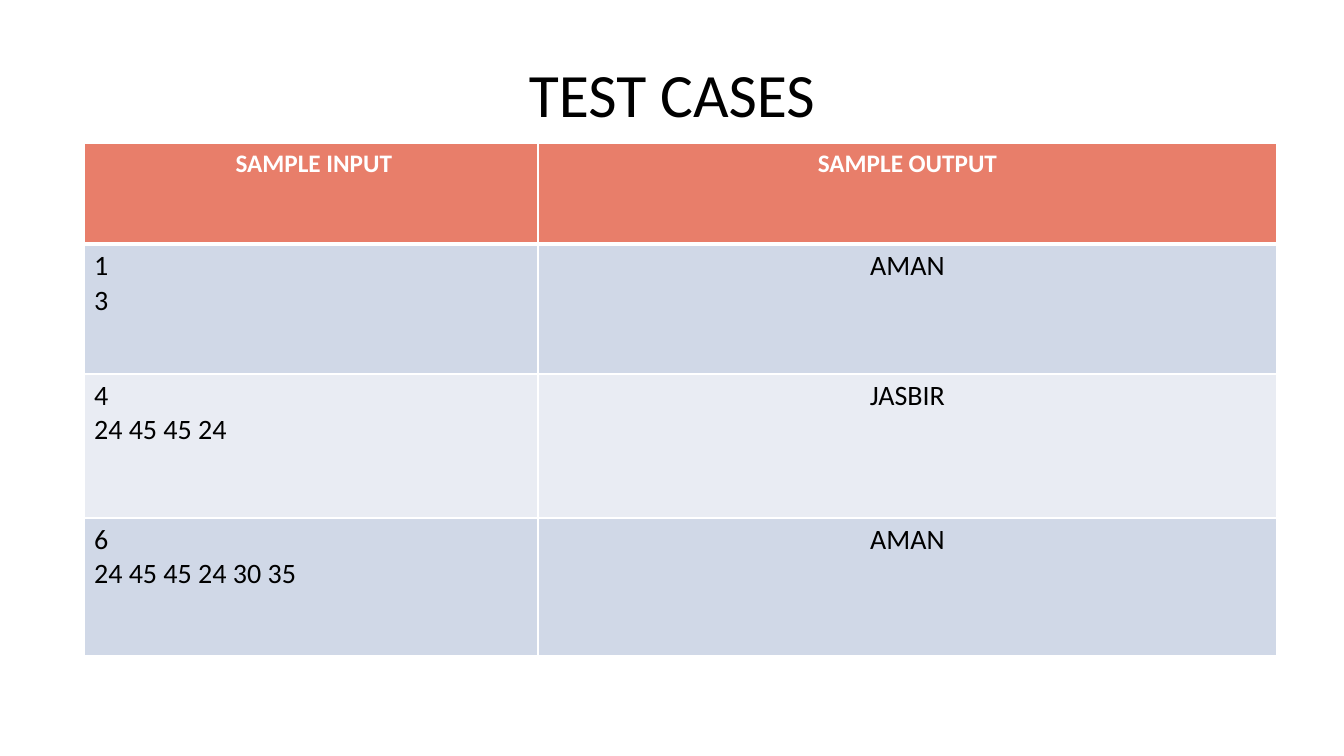
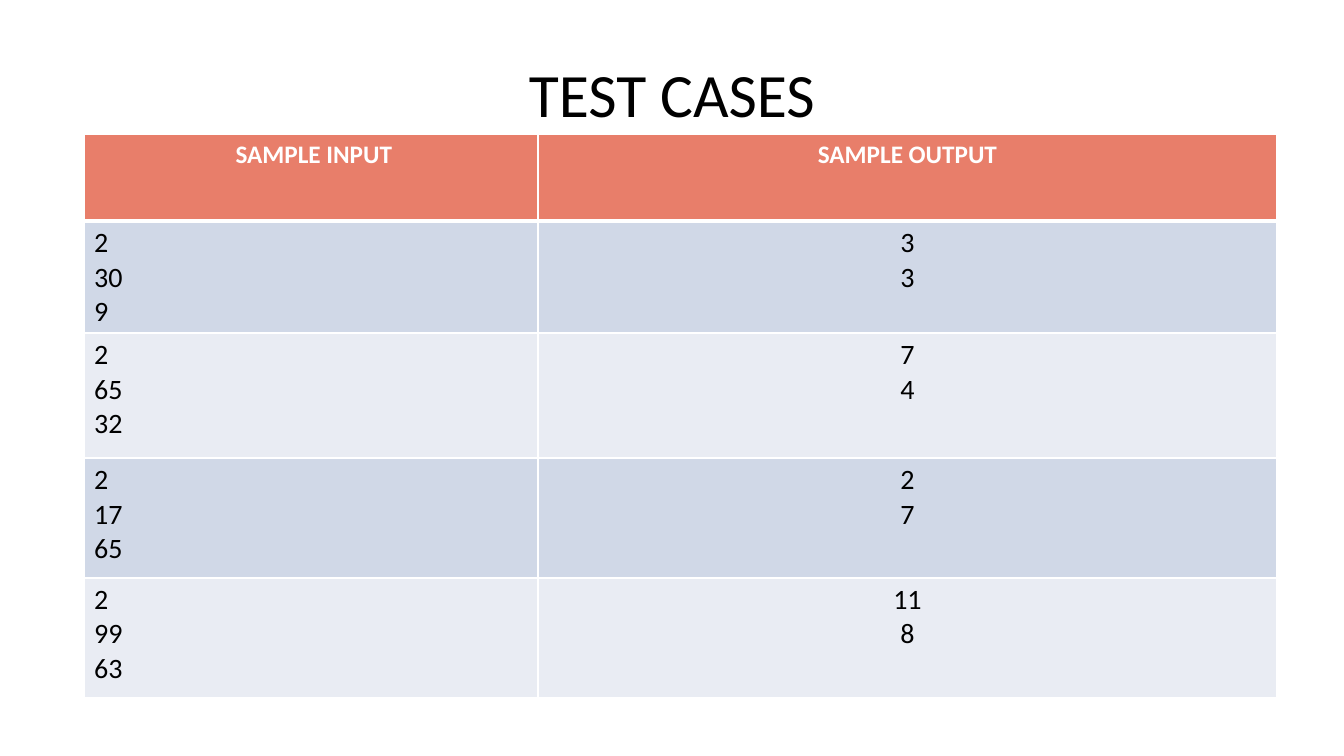
"""Build two slides of sample test cases, each a title above a table."""
from dataclasses import dataclass

from lxml.etree import SubElement
from pptx import Presentation
from pptx.dml.color import RGBColor
from pptx.enum.text import MSO_ANCHOR as Anchor, PP_ALIGN as Align
from pptx.oxml.ns import qn
from pptx.util import Pt

TITLE = "TEST CASES"
HEADER = ([" SAMPLE INPUT"], ["SAMPLE OUTPUT"])
PAGES = [
    {
        "top": 143,
        "heights": [101, 130, 144, 138],
        "cases": [
            (["1", "3"], ["AMAN"]),
            (["4", "24 45 45 24"], ["JASBIR"]),
            (["6", "24 45 45 24 30 35 "], ["AMAN"]),
        ],
    },
    {
        "top": 134,
        "heights": [87, 112, 125, 120, 120],
        "cases": [
            (["2", "30", "9"], ["3", "3"]),
            (["2", "65", "32"], ["7", "4"]),
            (["2", "17", "65"], ["2", "7"]),
            (["2", "99", "63"], ["11", "8"]),
        ],
    },
]
TITLE_BOX = (67, 30, 1210, 126)
TABLE_LEFT = 84
COLUMN_WIDTHS = (454, 739)


@dataclass(frozen=True)
class Theme:
    font: str = "Calibri"
    ink: str = "000000"
    paper: str = "FFFFFF"
    header: str = "E87E6A"
    bands: tuple = ("D0D8E7", "E9ECF3")
    title_size: int = 44
    header_size: int = 18
    body_size: int = 20
    thin: float = 0.96
    thick: float = 3


THEME = Theme()


def px(pixels):
    return round(pixels * 914400 / 100.8)


def write(frame, lines, size, color, align, bold=False):
    for index, line in enumerate(lines):
        paragraph = frame.add_paragraph() if index else frame.paragraphs[0]
        paragraph.alignment = align
        run = paragraph.add_run()
        run.text = line
        run.font.name = THEME.font
        run.font.size = Pt(size)
        run.font.bold = bold
        run.font.color.rgb = RGBColor.from_string(color)


def add_borders(cell, row):
    properties = cell._tc.get_or_add_tcPr()
    thick_side = {0: "lnB", 1: "lnT"}.get(row)
    for side in ("lnL", "lnR", "lnT", "lnB"):
        width = THEME.thick if side == thick_side else THEME.thin
        line = SubElement(properties, qn(f"a:{side}"), w=str(Pt(width)))
        fill = SubElement(line, qn("a:solidFill"))
        SubElement(fill, qn("a:srgbClr"), val=THEME.paper)


def add_title(slide):
    frame = slide.shapes.add_textbox(*map(px, TITLE_BOX)).text_frame
    frame.word_wrap = True
    frame.vertical_anchor = Anchor.MIDDLE
    write(frame, [TITLE], THEME.title_size, THEME.ink, Align.CENTER)


def add_cases(slide, top, heights, cases):
    box = (TABLE_LEFT, top, sum(COLUMN_WIDTHS), sum(heights))
    table = slide.shapes.add_table(
        len(heights), len(COLUMN_WIDTHS), *map(px, box)).table
    for column, width in zip(table.columns, COLUMN_WIDTHS):
        column.width = px(width)
    for row, (height, texts) in enumerate(zip(heights, [HEADER, *cases])):
        table.rows[row].height = px(height)
        is_header = row == 0
        color = THEME.header if is_header else THEME.bands[(row - 1) % 2]
        size = THEME.header_size if is_header else THEME.body_size
        ink = THEME.paper if is_header else THEME.ink
        for column, lines in enumerate(texts):
            cell = table.cell(row, column)
            add_borders(cell, row)
            cell.fill.solid()
            cell.fill.fore_color.rgb = RGBColor.from_string(color)
            align = Align.CENTER if is_header or column else Align.LEFT
            write(cell.text_frame, lines, size, ink, align, is_header)


def main():
    presentation = Presentation()
    presentation.slide_width, presentation.slide_height = px(1344), px(756)
    for page in PAGES:
        slide = presentation.slides.add_slide(presentation.slide_layouts[6])
        add_title(slide)
        add_cases(slide, **page)
    presentation.save("out.pptx")


main()
